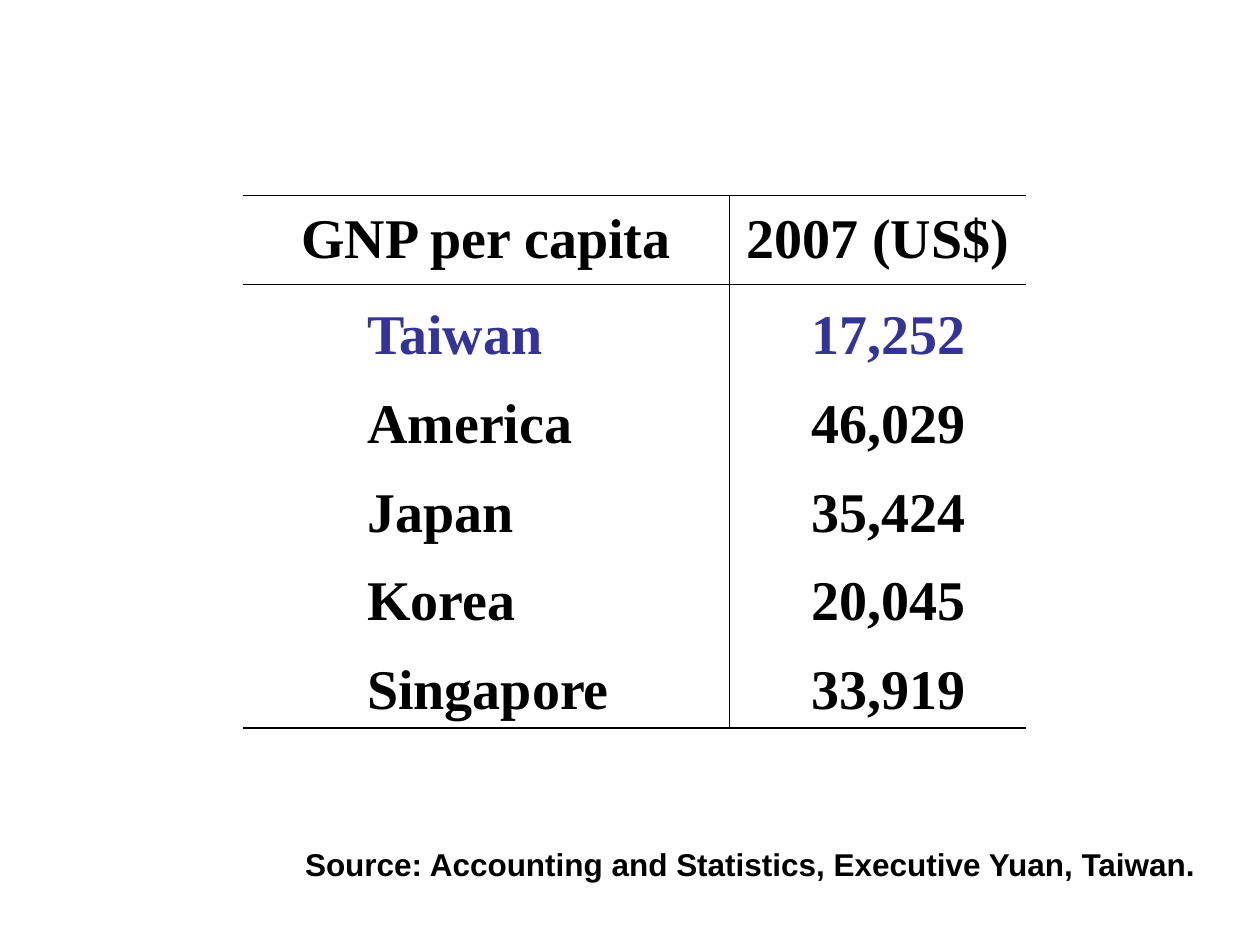
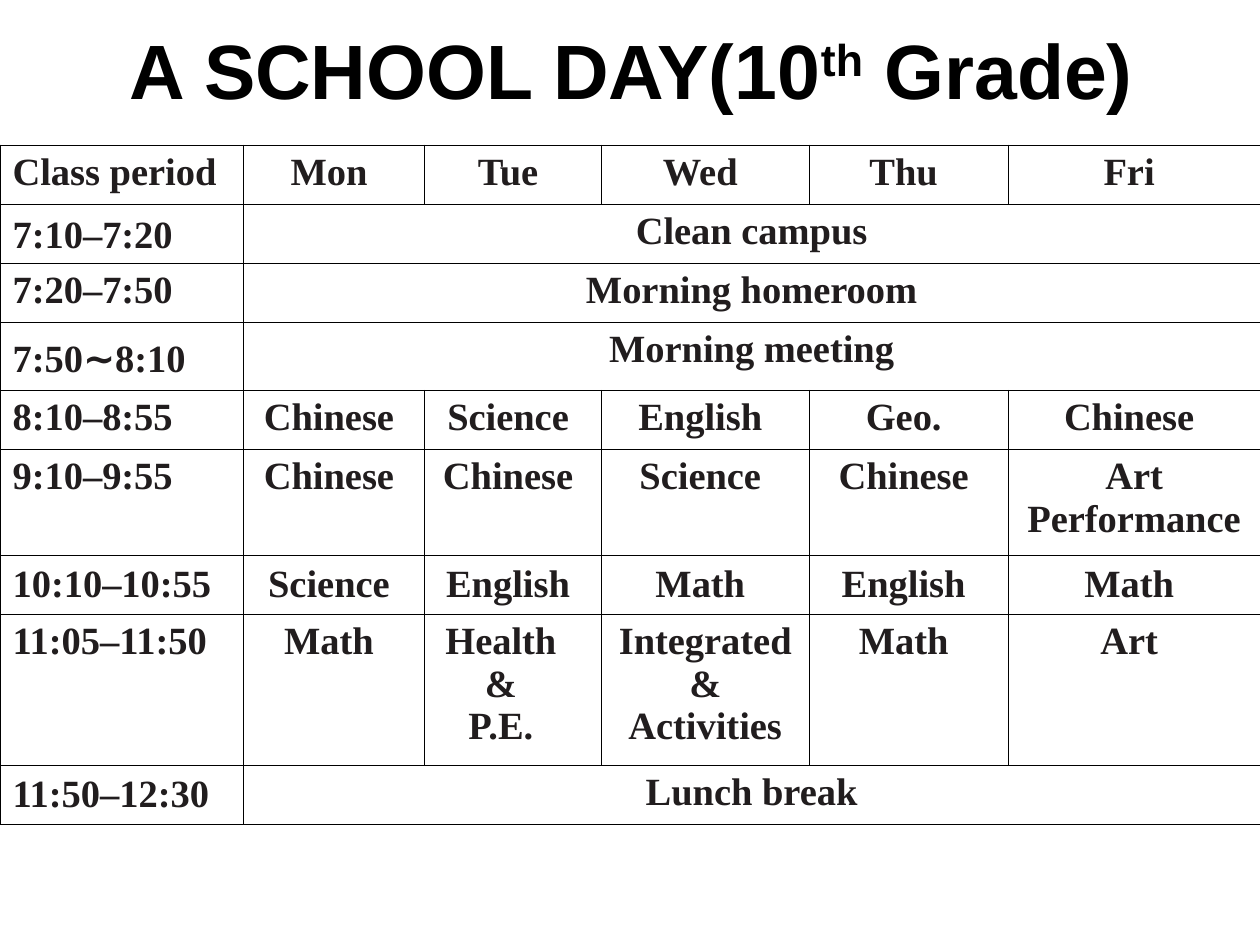
from lxml import etree
from pptx import Presentation
from pptx import util as u
from pptx.dml.color import RGBColor
from pptx.enum import text
from pptx.oxml.ns import qn


class Theme:
    black = RGBColor(0x00, 0x00, 0x00)
    ink = RGBColor(0x21, 0x1D, 0x1E)
    highlight = RGBColor(0x33, 0x33, 0x99)
    heading_font = "Arial"
    table_font = "Times New Roman"
    symbol_font = "Noto Sans CJK JP"
    title_size = u.Pt(44)
    income_size = u.Pt(32)
    lesson_size = u.Pt(22)
    source_size = u.Pt(18)
    thin = u.Pt(0.45)
    thick = u.Pt(0.96)


CENTER, LEFT = text.PP_ALIGN.CENTER, text.PP_ALIGN.LEFT
TOP, MIDDLE, BOTTOM = text.MSO_ANCHOR.TOP, text.MSO_ANCHOR.MIDDLE, text.MSO_ANCHOR.BOTTOM


def write(frame, wording, alignment, size, color, font_name):
    frame.text = wording
    for paragraph in frame.paragraphs:
        paragraph.alignment = alignment
        for run in paragraph.runs:
            run.font.color.rgb = color
            for name, value in {"size": size, "name": font_name, "bold": True}.items():
                setattr(run.font, name, value)


def format_cell(cell, borders, **values):
    cell.fill.background()
    for name, value in values.items():
        setattr(cell, name, value)
    properties = cell._tc.get_or_add_tcPr()
    for position, side in enumerate("LRTB"):
        line = etree.Element(qn(f"a:ln{side}"), w=str(borders.get(side, 0)))
        if side in borders:
            fill = etree.SubElement(line, qn("a:solidFill"))
            etree.SubElement(fill, qn("a:srgbClr"), val=str(Theme.black))
        else:
            etree.SubElement(line, qn("a:noFill"))
        properties.insert(position, line)


presentation = Presentation()
presentation.slide_width, presentation.slide_height = u.Cm(25.4), u.Cm(19.05)

slide = presentation.slides.add_slide(presentation.slide_layouts[6])
incomes = [
    ("GNP per capita", "2007 (US$)"),
    ("Taiwan", "17,252"),
    ("America", "46,029"),
    ("Japan", "35,424"),
    ("Korea", "20,045"),
    ("Singapore", "33,919"),
]
income_widths = [u.Cm(9.8), u.Cm(5.99)]
income_indents = [u.Cm(2.5), u.Cm(1.65)]
table = slide.shapes.add_table(
    len(incomes), 2, u.Cm(4.9), u.Cm(3.94), sum(income_widths), u.Cm(1.79) * len(incomes)
).table
table.first_row = table.horz_banding = False
for column, width in zip(table.columns, income_widths):
    column.width = width
for row_index, row in enumerate(incomes):
    header = row_index == 0
    for column_index, wording in enumerate(row):
        cell = table.cell(row_index, column_index)
        borders = {"L" if column_index else "R": Theme.thin}
        if header:
            borders.update(T=Theme.thick, B=Theme.thin)
        elif row_index == 1:
            borders["T"] = Theme.thin
        elif row_index == len(incomes) - 1:
            borders["B"] = Theme.thick
        write(cell.text_frame, wording, CENTER if header else LEFT, Theme.income_size,
              Theme.highlight if wording in incomes[1] else Theme.black, Theme.table_font)
        format_cell(cell, borders, vertical_anchor=MIDDLE if header else BOTTOM,
                    margin_left=u.Cm(0.25) if header else income_indents[column_index])

source = slide.shapes.add_textbox(u.Cm(5.9), u.Cm(16.92), u.Cm(18.6), u.Cm(1.02))
source.text_frame.word_wrap = True
write(source.text_frame, "Source: Accounting and Statistics, Executive Yuan, Taiwan.",
      LEFT, Theme.source_size, Theme.black, Theme.heading_font)

slide = presentation.slides.add_slide(presentation.slide_layouts[5])
title = slide.shapes.title
title_place = {"left": u.Cm(1.3), "top": u.Cm(0), "width": u.Cm(22.86), "height": u.Cm(2.77)}
for name, value in title_place.items():
    setattr(title, name, value)
title.text_frame.vertical_anchor = MIDDLE
write(title.text_frame, "A SCHOOL DAY(10", CENTER, Theme.title_size, Theme.black, Theme.heading_font)
for wording, baseline in [("th", "30000"), (" Grade)", "0")]:
    run = title.text_frame.paragraphs[0].add_run()
    run.text = wording
    run.font.color.rgb = Theme.black
    for name, value in {"size": Theme.title_size, "name": Theme.heading_font, "bold": True}.items():
        setattr(run.font, name, value)
    run.font._element.set("baseline", baseline)

lessons = [
    (1.19, TOP, ["Class period", "Mon", "Tue", "Wed", "Thu", "Fri"]),
    (1.19, BOTTOM, ["7:10–7:20", "Clean campus"]),
    (1.19, TOP, ["7:20–7:50", "Morning homeroom"]),
    (1.37, TOP, ["7:50∼8:10", "Morning meeting"]),
    (1.19, TOP, ["8:10–8:55", "Chinese", "Science", "English", "Geo.", "Chinese"]),
    (2.13, TOP, ["9:10–9:55", "Chinese", "Chinese", "Science", "Chinese", "Art\nPerformance"]),
    (1.19, MIDDLE, ["10:10–10:55", "Science", "English", "Math", "English", "Math"]),
    (3.05, TOP, ["11:05–11:50", "Math", "Health &\nP.E.", "Integrated\n&\nActivities", "Math", "Art"]),
    (1.19, MIDDLE, ["11:50–12:30", "Lunch break"]),
]
lesson_widths = [u.Cm(width) for width in (4.9, 3.66, 3.56, 4.19, 4.01, 5.08)]
table = slide.shapes.add_table(
    len(lessons), len(lesson_widths), u.Cm(0), u.Cm(2.92),
    sum(lesson_widths), u.Cm(sum(height for height, _, _ in lessons))
).table
table.first_row = table.horz_banding = False
for column, width in zip(table.columns, lesson_widths):
    column.width = width
for row_index, (height, anchor, row) in enumerate(lessons):
    table.rows[row_index].height = u.Cm(height)
    shared = len(row) == 2
    if shared:
        table.cell(row_index, 1).merge(table.cell(row_index, len(lesson_widths) - 1))
    for column_index in range(len(lesson_widths)):
        cell = table.cell(row_index, column_index)
        wording = row[column_index] if column_index < len(row) else ""
        right = 0.25
        if wording.startswith("Health"):
            right = 0.74
        elif column_index and not shared and "\n" not in wording:
            right = 0.45
        write(cell.text_frame, wording, CENTER if column_index else LEFT,
              Theme.lesson_size, Theme.ink, Theme.table_font)
        format_cell(cell, dict.fromkeys("LRTB", Theme.thin), margin_right=u.Cm(right),
                    vertical_anchor=TOP if shared and column_index else anchor)

paragraph = table.cell(3, 0).text_frame.paragraphs[0]
start, tilde, end = paragraph.runs[0].text.partition("∼")
paragraph.runs[0].text = start
for wording, font_name in [(tilde, Theme.symbol_font), (end, Theme.table_font)]:
    run = paragraph.add_run()
    run.text = wording
    run.font.color.rgb = Theme.ink
    for name, value in {"size": Theme.lesson_size, "name": font_name, "bold": True}.items():
        setattr(run.font, name, value)
    etree.SubElement(run.font._element, qn("a:ea"), typeface=font_name)

presentation.save("out.pptx")
